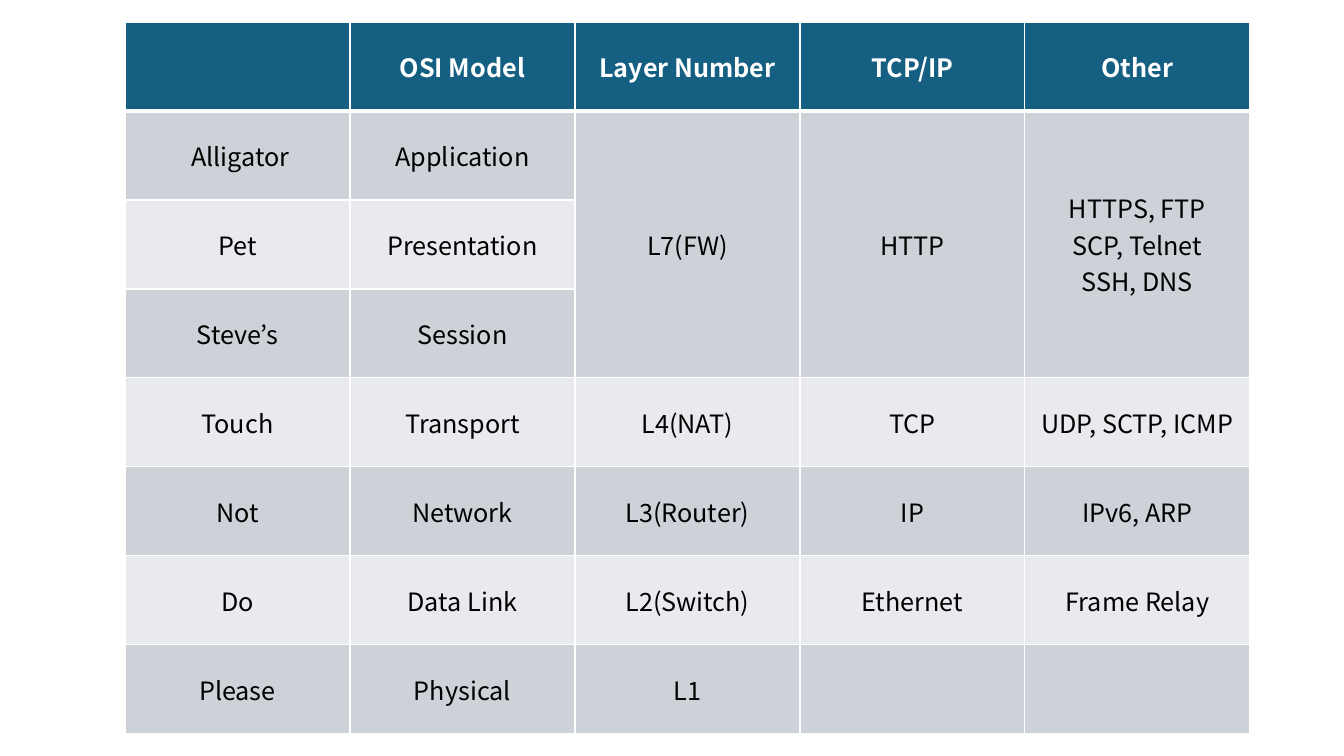
from lxml.etree import SubElement
from pptx import Presentation
from pptx.dml.color import RGBColor
from pptx.enum.text import MSO_ANCHOR, PP_ALIGN
from pptx.oxml.ns import qn
from pptx.util import Emu, Inches, Pt

FONT = "Noto Sans CJK KR"
COLORS = {
    "header": "156082",
    "odd": "CCD2D8",
    "even": "E8EAED",
    "white": "FFFFFF",
    "black": "000000",
}
COLUMN_WIDTH, ROW_HEIGHT = 225, 89
LAYERS = [
    ["", "OSI Model", "Layer Number", "TCP/IP", "Other"],
    [" Alligator", "Application", "L7(FW)", "HTTP", "HTTPS, FTP\nSCP, Telnet\nSSH, DNS"],
    ["Pet", "Presentation", "", "", ""],
    ["Steve’s", "Session", "", "", ""],
    ["Touch", "Transport", "L4(NAT)", "TCP", "UDP, SCTP, ICMP"],
    ["Not", "Network", "L3(Router)", "IP", "IPv6, ARP"],
    ["Do", "Data Link", "L2(Switch)", "Ethernet", "Frame Relay"],
    ["Please", "Physical", "L1", "", ""],
]


def px(length):
    return Emu(round(length * Inches(1) / 100.8))


def color(name):
    return RGBColor.from_string(COLORS[name])


def set_borders(cell, top, bottom):
    properties = cell._tc.get_or_add_tcPr()
    widths = {"a:lnL": 1, "a:lnR": 1, "a:lnT": top, "a:lnB": bottom}
    for position, (side, width) in enumerate(widths.items()):
        border = SubElement(properties, qn(side), w=str(Pt(width)))
        fill = SubElement(border, qn("a:solidFill"))
        SubElement(fill, qn("a:srgbClr"), val=COLORS["white"])
        properties.insert(position, border)


def write_cell(cell, wording, is_header):
    cell.vertical_anchor = MSO_ANCHOR.MIDDLE
    frame = cell.text_frame
    for number, line in enumerate(wording.splitlines()):
        paragraph = frame.add_paragraph() if number else frame.paragraphs[0]
        paragraph.alignment = PP_ALIGN.CENTER
        run = paragraph.add_run()
        run.text = line
        run.font.name = FONT
        run.font.size = Pt(18)
        run.font.bold = is_header
        run.font.color.rgb = color("white" if is_header else "black")


def row_fill(row):
    if row == 0:
        return "header"
    return "odd" if row % 2 else "even"


def add_layer_table(slide, left, top):
    row_count, column_count = len(LAYERS), len(LAYERS[0])
    layers = slide.shapes.add_table(
        row_count, column_count, px(left), px(top),
        px(column_count * COLUMN_WIDTH), px(row_count * ROW_HEIGHT),
    ).table
    for column in layers.columns:
        column.width = px(COLUMN_WIDTH)
    for row, wordings in enumerate(LAYERS):
        layers.rows[row].height = px(ROW_HEIGHT)
        for column, wording in enumerate(wordings):
            cell = layers.cell(row, column)
            cell.fill.solid()
            cell.fill.fore_color.rgb = color(row_fill(row))
            set_borders(cell, 3 if row == 1 else 1, 3 if row == 0 else 1)
            write_cell(cell, wording, row == 0)
    for column in range(2, column_count):
        layers.cell(1, column).merge(layers.cell(3, column))


def main():
    """Build the slide that sets the OSI layers beside their protocols."""
    deck = Presentation()
    deck.slide_width, deck.slide_height = px(1344), px(756)
    slide = deck.slides.add_slide(deck.slide_layouts[6])
    add_layer_table(slide, 125, 22)
    deck.save("out.pptx")


if __name__ == "__main__":
    main()
